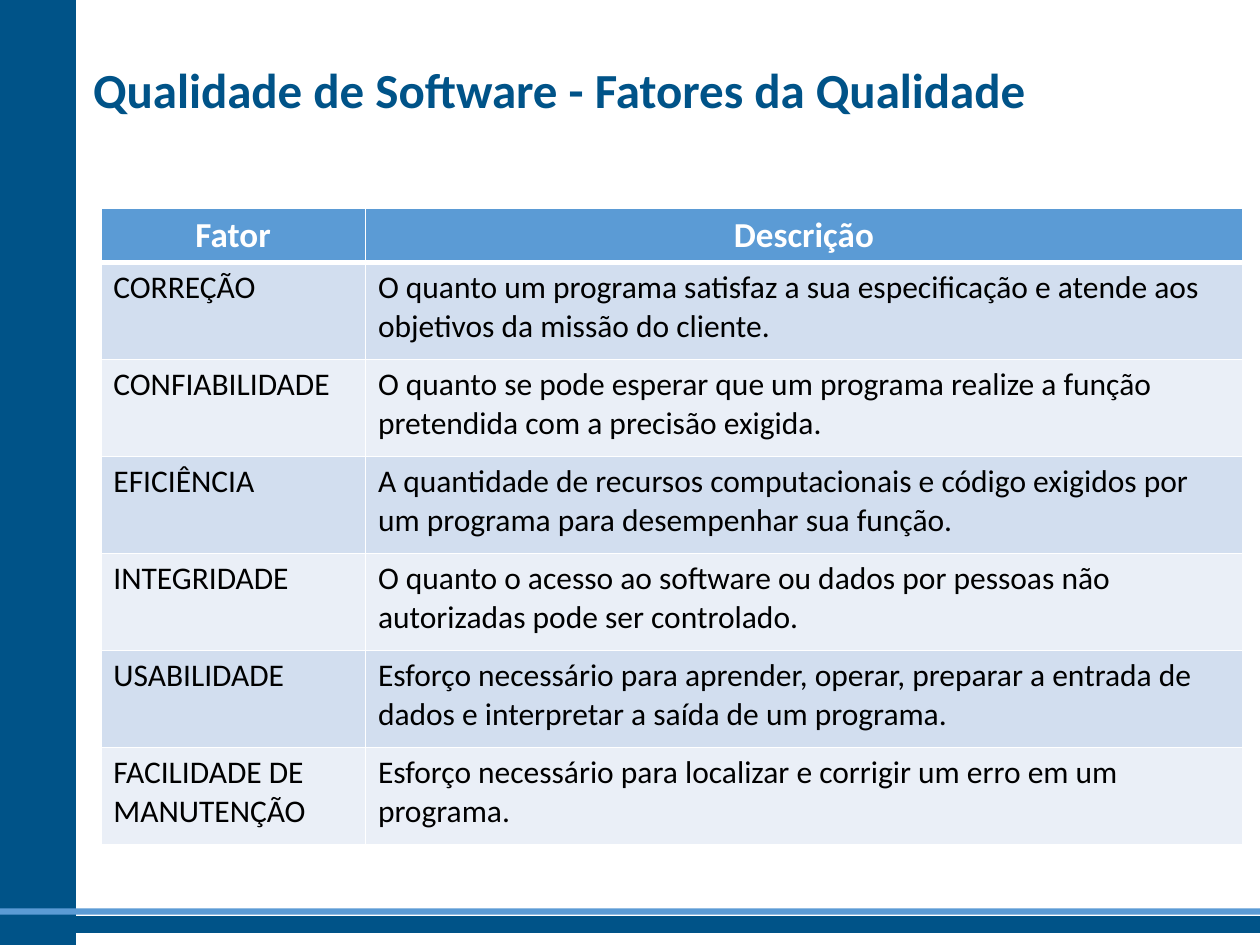
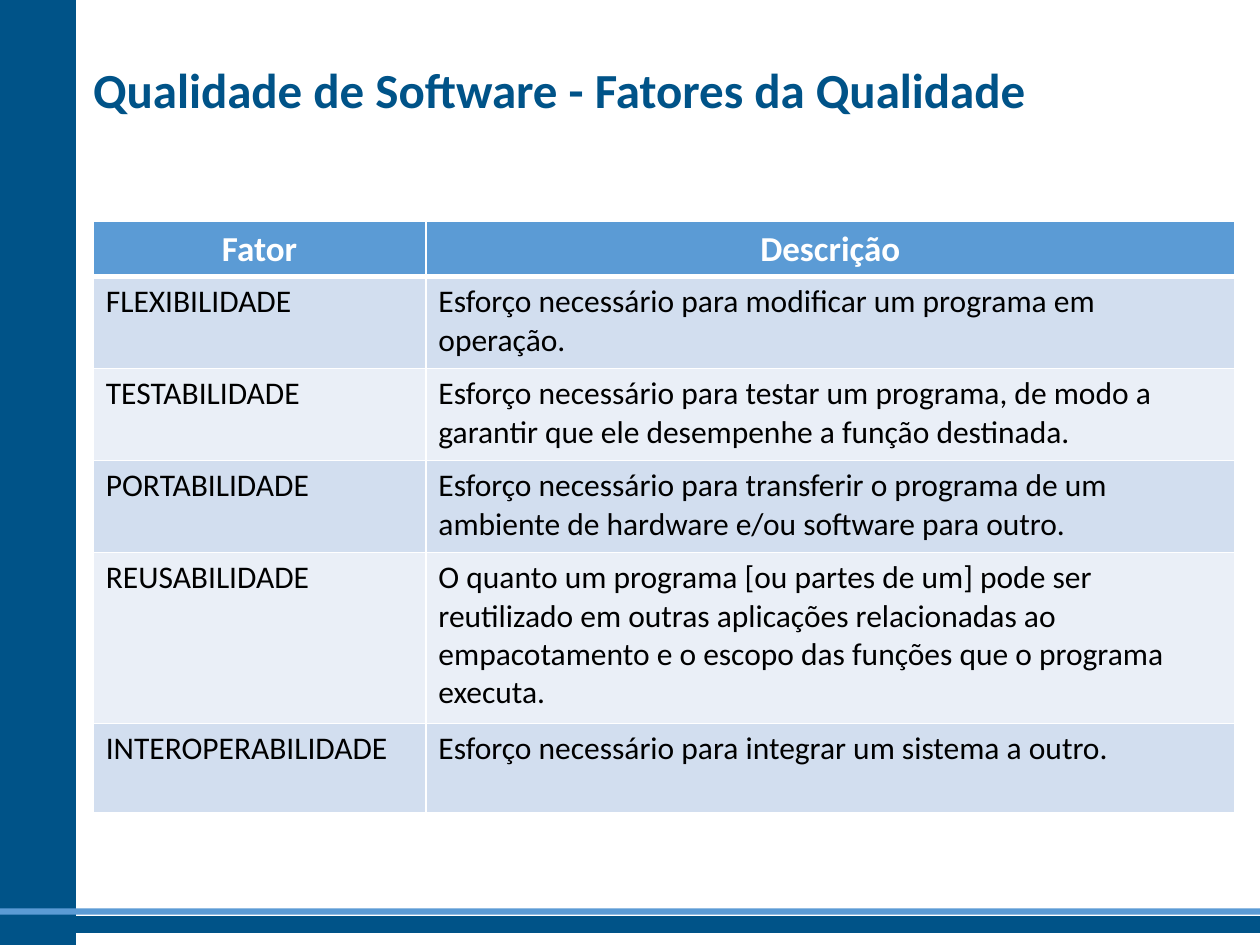
from pptx import Presentation
from pptx.dml.color import RGBColor
from pptx.enum.shapes import MSO_SHAPE
from pptx.enum.text import MSO_ANCHOR, PP_ALIGN
from pptx.oxml.ns import qn
from pptx.util import Inches, Pt
from lxml.etree import SubElement

NAVY = RGBColor(0x00, 0x53, 0x88)
BLUE = RGBColor(0x5B, 0x9B, 0xD5)
WHITE = RGBColor(0xFF, 0xFF, 0xFF)
BLACK = RGBColor(0x00, 0x00, 0x00)
ROW_FILLS = (RGBColor(0xD2, 0xDE, 0xEF), RGBColor(0xEA, 0xEF, 0xF7))
FONT = "Calibri"

TITLE = "Qualidade de Software - Fatores da Qualidade"
HEADER = ("Fator", "Descrição")
BANDS = [
    ((0, 0, 0.6, 7.5), NAVY, True),
    ((0, 7.28, 10, 0.12), NAVY, True),
    ((0, 7.21, 10, 0.05), BLUE, False),
]
SLIDES = [
    {
        "position": (0.8, 1.65),
        "columns": (2.1, 6.96),
        "heights": [0.43] + [0.77] * 6,
        "factors": [
            ("CORREÇÃO", "O quanto um programa satisfaz a sua especificação e atende aos objetivos da missão do cliente."),
            ("CONFIABILIDADE", "O quanto se pode esperar que um programa realize a função pretendida com a precisão exigida."),
            ("EFICIÊNCIA", "A quantidade de recursos computacionais e código exigidos por um programa para desempenhar sua função."),
            ("INTEGRIDADE", "O quanto o acesso ao software ou dados por pessoas não autorizadas pode ser controlado."),
            ("USABILIDADE", "Esforço necessário para aprender, operar, preparar a entrada de dados e interpretar a saída de um programa."),
            ("FACILIDADE DE\nMANUTENÇÃO", "Esforço necessário para localizar e corrigir um erro em um programa."),
        ],
    },
    {
        "position": (0.74, 1.76),
        "columns": (2.64, 6.42),
        "heights": [0.41] + [0.73] * 3 + [1.36, 0.71],
        "factors": [
            ("FLEXIBILIDADE", "Esforço necessário para modificar um programa em operação."),
            ("TESTABILIDADE", "Esforço necessário para testar um programa, de modo a garantir que ele desempenhe a função destinada."),
            ("PORTABILIDADE", "Esforço necessário para transferir o programa de um ambiente de hardware e/ou software para outro."),
            ("REUSABILIDADE", "O quanto um programa [ou partes de um] pode ser reutilizado em outras aplicações relacionadas ao empacotamento e o escopo das funções que o programa executa."),
            ("INTEROPERABILIDADE", "Esforço necessário para integrar um sistema a outro."),
        ],
    },
]


def write_text(text_frame, text, size=18, color=BLACK, bold=False, align=PP_ALIGN.LEFT):
    text_frame.word_wrap = True
    text_frame.text = text
    for paragraph in text_frame.paragraphs:
        paragraph.alignment = align
        font = paragraph.runs[0].font
        font.name, font.size, font.bold = FONT, Pt(size), bold
        font.color.rgb = color


def set_borders(cell, top=1, bottom=1):
    properties = cell._tc.get_or_add_tcPr()
    for side, width in (("L", 1), ("R", 1), ("T", top), ("B", bottom)):
        line = SubElement(properties, qn(f"a:ln{side}"), w=str(Pt(width)))
        fill = SubElement(line, qn("a:solidFill"))
        SubElement(fill, qn("a:srgbClr"), val=str(WHITE))


def add_frame(slide):
    for box, color, outlined in BANDS:
        band = slide.shapes.add_shape(MSO_SHAPE.RECTANGLE, *map(Inches, box))
        band.shadow.inherit = False
        band.fill.solid()
        band.fill.fore_color.rgb = color
        if outlined:
            band.line.color.rgb = color
            band.line.width = Pt(1)
        else:
            band.line.fill.background()
    title = slide.shapes.add_textbox(*map(Inches, (0.64, 0.19, 9.32, 1.03)))
    title.text_frame.vertical_anchor = MSO_ANCHOR.MIDDLE
    write_text(title.text_frame, TITLE, size=28, color=NAVY, bold=True)


def add_factor_table(slide, position, columns, heights, factors):
    rows = [HEADER] + factors
    size = (sum(columns), sum(heights))
    table = slide.shapes.add_table(len(rows), len(columns), *map(Inches, position + size)).table
    for column, width in zip(table.columns, columns):
        column.width = Inches(width)
    for index, (row, height, texts) in enumerate(zip(table.rows, heights, rows)):
        row.height = Inches(height)
        is_header = index == 0
        for cell, text in zip(row.cells, texts):
            set_borders(cell, top=3 if index == 1 else 1, bottom=3 if is_header else 1)
            cell.fill.solid()
            cell.fill.fore_color.rgb = BLUE if is_header else ROW_FILLS[(index - 1) % 2]
            if is_header:
                write_text(cell.text_frame, text, size=20, color=WHITE, bold=True, align=PP_ALIGN.CENTER)
            else:
                write_text(cell.text_frame, text)


def main():
    presentation = Presentation()
    presentation.slide_width = Inches(10)
    presentation.slide_height = Inches(7.5)
    for content in SLIDES:
        slide = presentation.slides.add_slide(presentation.slide_layouts[6])
        add_frame(slide)
        add_factor_table(slide, **content)
    presentation.save("out.pptx")


if __name__ == "__main__":
    main()
